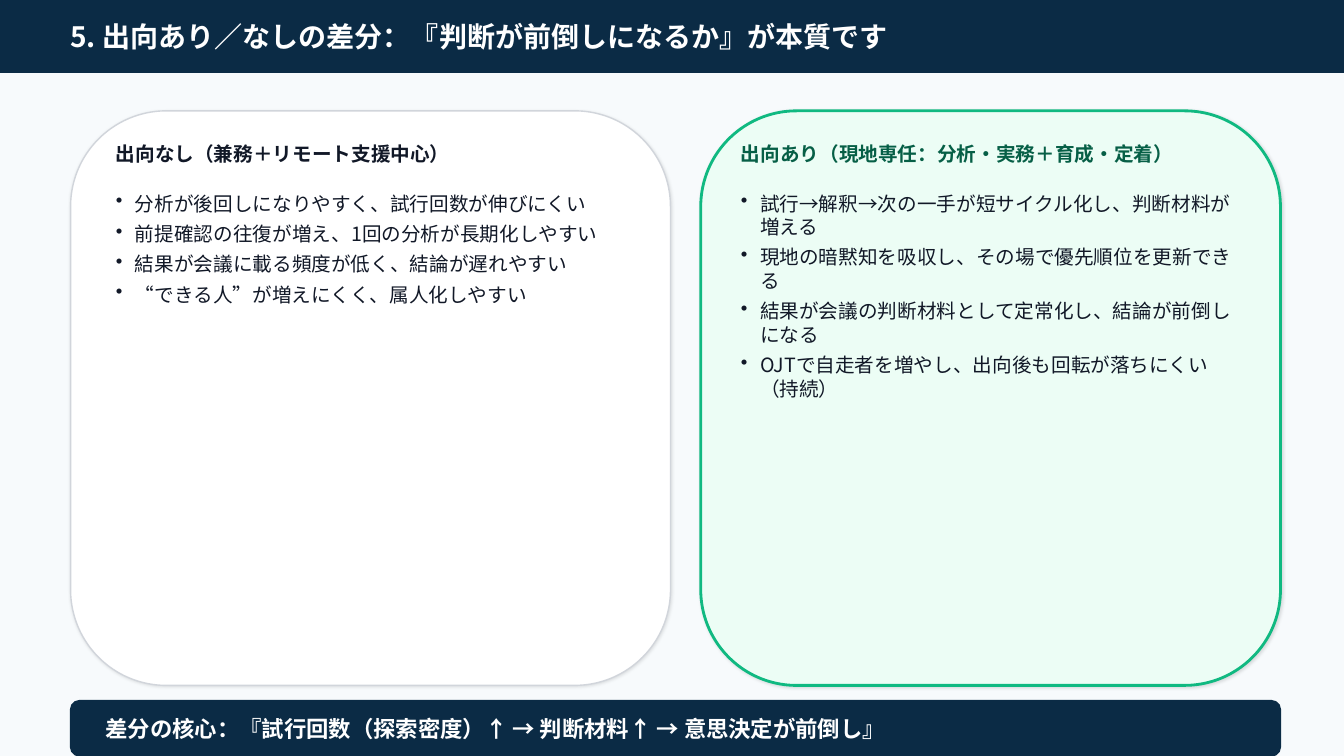
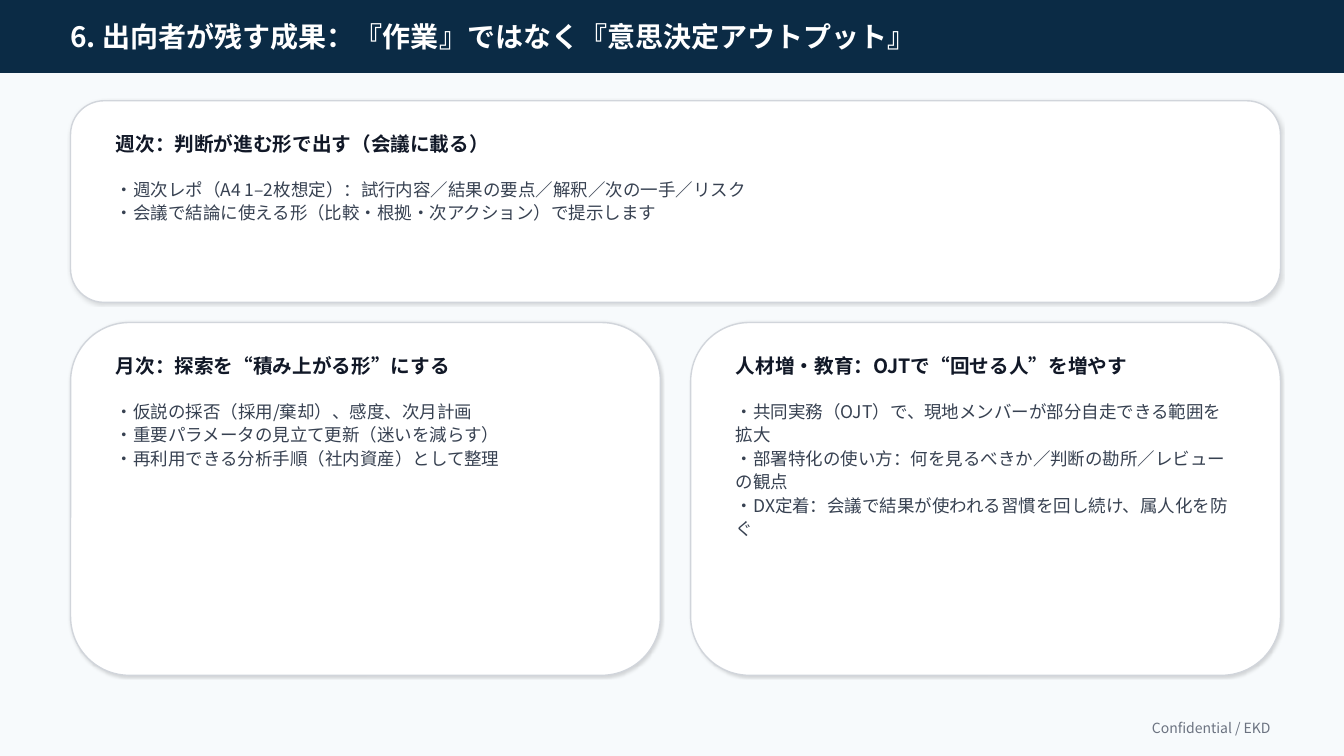
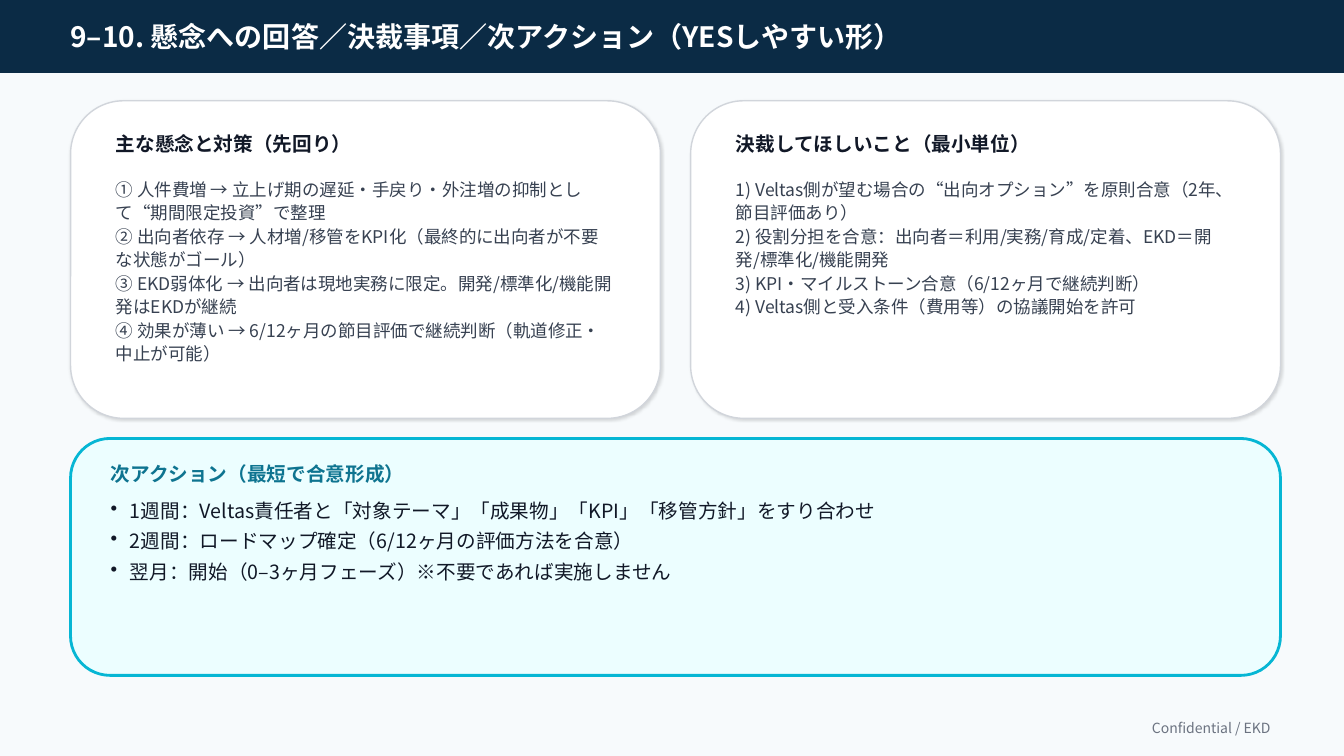
from dataclasses import dataclass, replace

from lxml import etree
from pptx import Presentation
from pptx.dml.color import RGBColor
from pptx.enum.shapes import MSO_SHAPE
from pptx.enum.text import MSO_ANCHOR, PP_ALIGN
from pptx.oxml.ns import qn
from pptx.util import Inches, Pt

RECTANGLE = MSO_SHAPE.RECTANGLE
ROUNDED = MSO_SHAPE.ROUNDED_RECTANGLE
TOP, MIDDLE = MSO_ANCHOR.TOP, MSO_ANCHOR.MIDDLE
LEFT, RIGHT = PP_ALIGN.LEFT, PP_ALIGN.RIGHT

# Shared look
FONT = "Noto Sans CJK JP"
NAVY, PAPER, WHITE = "0B2B45", "F7FAFC", "FFFFFF"
INK, SLATE, GREY, BORDER = "111827", "374151", "6B7280", "D1D5DB"
SLIDE_WIDTH, SLIDE_HEIGHT = 13.33, 7.5

# Shared grid, in inches
MARGIN, CONTENT = 0.7, 12.0
COLUMN_GAP, ROW_GAP = 0.3, 0.2
HALF = (CONTENT - COLUMN_GAP) / 2
SECOND_COLUMN = MARGIN + HALF + COLUMN_GAP
FIRST_ROW, LAST_ROW_END = 1.0, 6.7
HEADING_HEIGHT = 0.35


@dataclass(frozen=True)
class Area:
    left: float
    top: float
    width: float
    height: float


@dataclass(frozen=True)
class PanelStyle:
    """Colours of a panel and the offsets of its text from its edges."""
    fill: str = WHITE
    line: str = BORDER
    line_width: float = 1
    heading_color: str = INK
    shadow: int = 0
    lead: float = 0.35
    trail: float = 0.35
    heading_offset: float = 0.25
    body_offset: float = 0.7
    bottom: float = 0.2
    body_size: float = 12.5
    body_color: str = SLATE
    bullets: bool = False
    line_spacing: float | None = 1.12


@dataclass(frozen=True)
class Panel:
    area: Area
    style: PanelStyle
    heading: str
    lines: tuple[str, ...]


@dataclass(frozen=True)
class Page:
    title: str
    panels: tuple[Panel, ...]
    conclusion: str = ""
    footer: str = ""


REPORT = PanelStyle(shadow=14)
BULLETED = PanelStyle(body_size=14, body_color=INK, bullets=True, line_spacing=None)
WITHOUT = replace(BULLETED, shadow=12, trail=0.3, body_offset=0.75, bottom=0.25)
WITH = replace(WITHOUT, fill="ECFDF5", line="10B981", line_width=2,
               heading_color="065F46", lead=0.3, trail=0.25)
ACTION = replace(BULLETED, fill="ECFEFF", line="06B6D4", line_width=2,
                 heading_color="0E7490", lead=0.3, trail=0.3,
                 heading_offset=0.17, body_offset=0.55, bottom=0.1)


def color(value: str) -> RGBColor:
    return RGBColor.from_string(value)


def position(area: Area) -> tuple:
    return tuple(Inches(round(length, 2))
                 for length in (area.left, area.top, area.width, area.height))


def add_shadow(shape, opacity: int) -> None:
    effects = shape._element.spPr.find(qn("a:effectLst"))
    outer = etree.SubElement(effects, qn("a:outerShdw"), blurRad=str(Pt(2)),
                             dist=str(Pt(1)), dir=str(45 * 60000),
                             algn="tl", rotWithShape="0")
    tint = etree.SubElement(outer, qn("a:srgbClr"), val="000000")
    etree.SubElement(tint, qn("a:alpha"), val=str(opacity * 1000))


def add_block(page, kind, area: Area, fill: str, line: str,
              line_width: float = 1, shadow: int = 0) -> None:
    shape = page.shapes.add_shape(kind, *position(area))
    shape.shadow.inherit = False
    shape.fill.solid()
    shape.fill.fore_color.rgb = color(fill)
    shape.line.color.rgb = color(line)
    shape.line.width = Pt(line_width)
    if shadow:
        add_shadow(shape, shadow)


def add_bullet(para) -> None:
    properties = para._p.get_or_add_pPr()
    indent = Inches(0.19)
    properties.set("marL", str(indent))
    properties.set("indent", str(-indent))
    etree.SubElement(properties, qn("a:buChar"), char="•")


def add_text(page, area: Area, *lines: str, size: float, ink: str,
             bold: bool = False, align=LEFT, anchor=MIDDLE,
             bullets: bool = False, line_spacing: float | None = None) -> None:
    frame = page.shapes.add_textbox(*position(area)).text_frame
    frame.word_wrap = True
    frame.vertical_anchor = anchor
    for index, line in enumerate(lines):
        para = frame.add_paragraph() if index else frame.paragraphs[0]
        para.alignment = align
        if line_spacing:
            para.line_spacing = line_spacing
        if bullets:
            para.space_after = Pt(4.9)
            add_bullet(para)
        span = para.add_run()
        span.text = line
        span.font.name = FONT
        span.font.size = Pt(size)
        span.font.bold = bold
        span.font.color.rgb = color(ink)


def add_panel(page, panel: Panel) -> None:
    area, style = panel.area, panel.style
    add_block(page, ROUNDED, area, style.fill, style.line,
              style.line_width, style.shadow)
    left = area.left + style.lead
    width = area.width - style.lead - style.trail
    add_text(page, Area(left, area.top + style.heading_offset, width, HEADING_HEIGHT),
             panel.heading, size=14, ink=style.heading_color, bold=True)
    body_height = area.height - style.body_offset - style.bottom
    add_text(page, Area(left, area.top + style.body_offset, width, body_height),
             *panel.lines, size=style.body_size, ink=style.body_color, anchor=TOP,
             bullets=style.bullets, line_spacing=style.line_spacing)


def add_page(deck, content: Page) -> None:
    page = deck.slides.add_slide(deck.slide_layouts[6])
    page.background.fill.solid()
    page.background.fill.fore_color.rgb = color(PAPER)
    # Title band
    add_block(page, RECTANGLE, Area(0, 0, SLIDE_WIDTH, 0.72), NAVY, NAVY)
    add_text(page, Area(0.6, 0.16, 12.2, 0.4), content.title,
             size=20, ink=WHITE, bold=True)
    for panel in content.panels:
        add_panel(page, panel)
    # Closing band or footer
    if content.conclusion:
        add_block(page, ROUNDED, Area(MARGIN, 6.95, CONTENT, 0.55), NAVY, NAVY)
        add_text(page, Area(0.95, 7.08, 11.5, 0.3), content.conclusion,
                 size=16, ink=WHITE, bold=True)
    if content.footer:
        add_text(page, Area(0.6, 7.1, 12.1, 0.25), content.footer,
                 size=10, ink=GREY, align=RIGHT)


def comparison_page() -> Page:
    top, height, wide = 1.1, 5.7, 5.95
    right = MARGIN + wide + COLUMN_GAP
    return Page(
        "5. 出向あり／なしの差分：『判断が前倒しになるか』が本質です",
        (
            Panel(Area(MARGIN, top, wide, height), WITHOUT,
                  "出向なし（兼務＋リモート支援中心）",
                  ("分析が後回しになりやすく、試行回数が伸びにくい",
                   "前提確認の往復が増え、1回の分析が長期化しやすい",
                   "結果が会議に載る頻度が低く、結論が遅れやすい",
                   "“できる人”が増えにくく、属人化しやすい")),
            Panel(Area(right, top, MARGIN + CONTENT - right, height), WITH,
                  "出向あり（現地専任：分析・実務＋育成・定着）",
                  ("試行→解釈→次の一手が短サイクル化し、判断材料が増える",
                   "現地の暗黙知を吸収し、その場で優先順位を更新できる",
                   "結果が会議の判断材料として定常化し、結論が前倒しになる",
                   "OJTで自走者を増やし、出向後も回転が落ちにくい（持続）")),
        ),
        conclusion="差分の核心：『試行回数（探索密度）↑ → 判断材料↑ → 意思決定が前倒し』",
    )


FOOTER = "Confidential / EKD"


def output_page() -> Page:
    weekly_height = 2.0
    lower = FIRST_ROW + weekly_height + ROW_GAP
    lower_height = LAST_ROW_END - lower
    return Page(
        "6. 出向者が残す成果：『作業』ではなく『意思決定アウトプット』",
        (
            Panel(Area(MARGIN, FIRST_ROW, CONTENT, weekly_height), REPORT,
                  "週次：判断が進む形で出す（会議に載る）",
                  ("・週次レポ（A4 1–2枚想定）：試行内容／結果の要点／解釈／次の一手／リスク",
                   "・会議で結論に使える形（比較・根拠・次アクション）で提示します")),
            Panel(Area(MARGIN, lower, HALF, lower_height), REPORT,
                  "月次：探索を“積み上がる形”にする",
                  ("・仮説の採否（採用/棄却）、感度、次月計画",
                   "・重要パラメータの見立て更新（迷いを減らす）",
                   "・再利用できる分析手順（社内資産）として整理")),
            Panel(Area(SECOND_COLUMN, lower, HALF, lower_height), REPORT,
                  "人材増・教育：OJTで“回せる人”を増やす",
                  ("・共同実務（OJT）で、現地メンバーが部分自走できる範囲を拡大",
                   "・部署特化の使い方：何を見るべきか／判断の勘所／レビューの観点",
                   "・DX定着：会議で結果が使われる習慣を回し続け、属人化を防ぐ")),
        ),
        footer=FOOTER,
    )


def decision_page() -> Page:
    upper_height = 3.15
    lower = FIRST_ROW + upper_height + ROW_GAP
    return Page(
        "9–10. 懸念への回答／決裁事項／次アクション（YESしやすい形）",
        (
            Panel(Area(MARGIN, FIRST_ROW, HALF, upper_height), REPORT,
                  "主な懸念と対策（先回り）",
                  ("① 人件費増 → 立上げ期の遅延・手戻り・外注増の抑制として“期間限定投資”で整理",
                   "② 出向者依存 → 人材増/移管をKPI化（最終的に出向者が不要な状態がゴール）",
                   "③ EKD弱体化 → 出向者は現地実務に限定。開発/標準化/機能開発はEKDが継続",
                   "④ 効果が薄い → 6/12ヶ月の節目評価で継続判断（軌道修正・中止が可能）")),
            Panel(Area(SECOND_COLUMN, FIRST_ROW, HALF, upper_height), REPORT,
                  "決裁してほしいこと（最小単位）",
                  ("1) Veltas側が望む場合の“出向オプション”を原則合意（2年、節目評価あり）",
                   "2) 役割分担を合意：出向者＝利用/実務/育成/定着、EKD＝開発/標準化/機能開発",
                   "3) KPI・マイルストーン合意（6/12ヶ月で継続判断）",
                   "4) Veltas側と受入条件（費用等）の協議開始を許可")),
            Panel(Area(MARGIN, lower, CONTENT, LAST_ROW_END - lower), ACTION,
                  "次アクション（最短で合意形成）",
                  ("1週間：Veltas責任者と「対象テーマ」「成果物」「KPI」「移管方針」をすり合わせ",
                   "2週間：ロードマップ確定（6/12ヶ月の評価方法を合意）",
                   "翌月：開始（0–3ヶ月フェーズ）※不要であれば実施しません")),
        ),
        footer=FOOTER,
    )


def main() -> None:
    deck = Presentation()
    deck.slide_width = Inches(SLIDE_WIDTH)
    deck.slide_height = Inches(SLIDE_HEIGHT)
    for content in (comparison_page(), output_page(), decision_page()):
        add_page(deck, content)
    deck.save("out.pptx")


if __name__ == "__main__":
    main()
